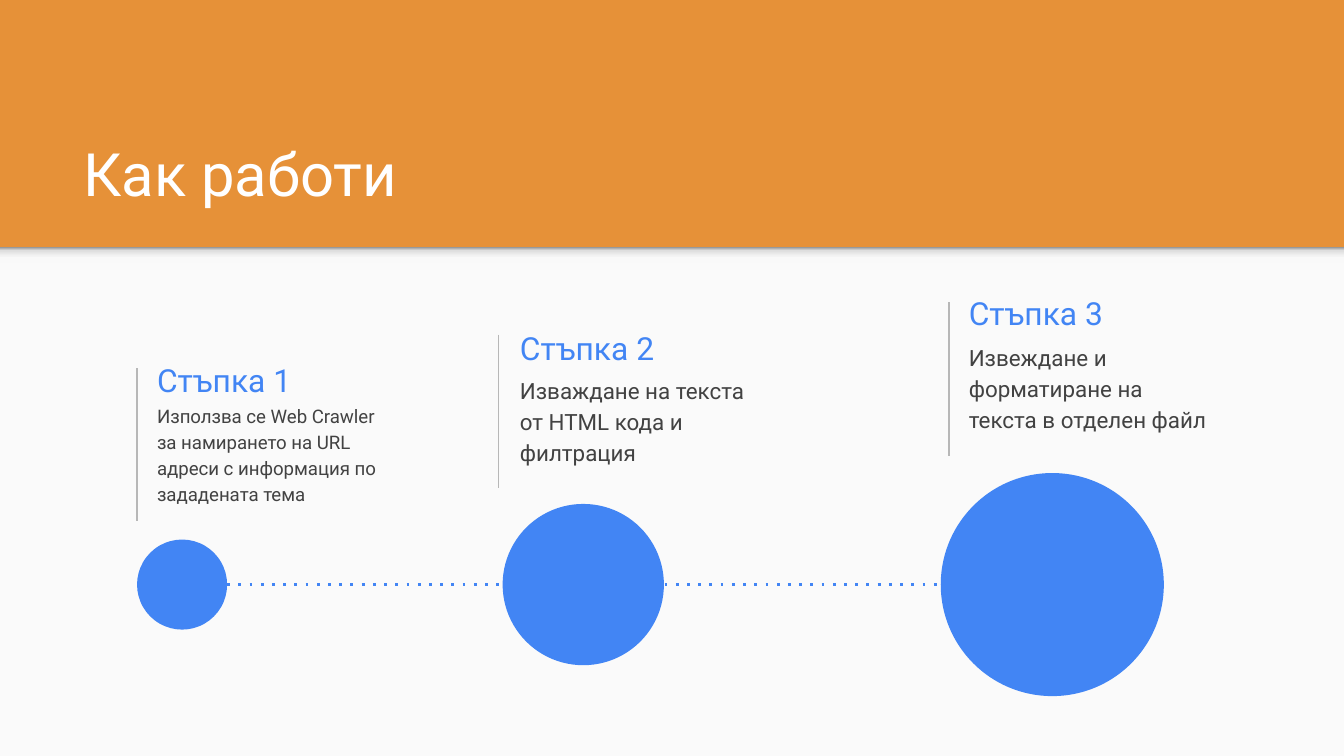
from dataclasses import dataclass

from lxml.etree import SubElement
from pptx import Presentation
from pptx.dml.color import RGBColor
from pptx.enum.shapes import MSO_CONNECTOR, MSO_SHAPE
from pptx.enum.text import MSO_ANCHOR, PP_ALIGN
from pptx.oxml import parse_xml
from pptx.oxml.ns import nsdecls, qn
from pptx.util import Inches, Pt

TITLE = "Как работи"
STEPS = [
    dict(heading="Стъпка 1",
         body="Използва се Web Crawler за намирането на URL адреси с информация по зададената тема",
         size=10, bar=(1.02, 2.74), text_left=1.07, heading_top=2.61, body_top=2.89,
         circle=(1.02, 0.67)),
    dict(heading="Стъпка 2", body="Изваждане на текста от HTML кода и филтрация",
         size=12, bar=(3.71, 2.49), text_left=3.77, heading_top=2.37, body_top=2.68,
         circle=(3.74, 1.2)),
    dict(heading="Стъпка 3", body="Извеждане и форматиране на текста в отделен файл",
         size=12, bar=(7.06, 2.25), text_left=7.11, heading_top=2.11, body_top=2.43,
         circle=(7, 1.66)),
]
SHADOW_STOPS = [(0, "F9F9F9"), (36, "F9F9F9"), (80, "DEDEDE"), (100, "999999")]


@dataclass(frozen=True)
class Theme:
    font: str = "Roboto"
    banner: str = "E69138"
    panel: str = "FAFAFA"
    title: str = "FFFFFF"
    accent: str = "4285F4"
    body: str = "424242"
    bar: str = "B7B7B7"
    title_size: int = 32
    heading_size: int = 17


THEME = Theme()
WIDTH = 10
HEIGHT = WIDTH * 9 / 16
BANNER_HEIGHT = 1.84
AXIS_Y, BAR_HEIGHT = 4.35, 1.14
TEXT_WIDTH, HEADING_HEIGHT, BODY_HEIGHT = 1.98, 0.43, 0.63


def inches(*values):
    return [Inches(value) for value in values]


def write_text(box, text, size, color, anchor=MSO_ANCHOR.TOP, line_spacing=1, space_after=0):
    frame = box.text_frame
    frame.word_wrap = True
    frame.vertical_anchor = anchor
    frame.margin_left = frame.margin_right = Inches(0.1)
    frame.margin_top = frame.margin_bottom = Inches(0.1)
    para = frame.paragraphs[0]
    para.alignment = PP_ALIGN.LEFT
    para.line_spacing = line_spacing
    para.space_before, para.space_after = Pt(0), Pt(space_after)
    span = para.add_run()
    span.text = text
    span.font.name, span.font.size = THEME.font, Pt(size)
    span.font.color.rgb = RGBColor.from_string(color)


def add_solid(page, kind, color, *area):
    shape = page.shapes.add_shape(kind, *inches(*area))
    shape.shadow.inherit = False
    shape.fill.solid()
    shape.fill.fore_color.rgb = RGBColor.from_string(color)
    shape.line.fill.background()
    return shape


def add_line(page, color, width, start, end, dash=None):
    line = page.shapes.add_connector(MSO_CONNECTOR.STRAIGHT, *inches(*start, *end))
    line.line.color.rgb = RGBColor.from_string(color)
    line.line.width = Pt(width)
    if dash:
        SubElement(line.line._get_or_add_ln(), qn("a:prstDash"), val=dash)
    SubElement(line._element.spPr, qn("a:effectLst"))


def add_banner_shadow(page):
    strip = add_solid(page, MSO_SHAPE.RECTANGLE, THEME.panel, 0, BANNER_HEIGHT, WIDTH, 0.12)
    stops = "".join(f'<a:gs pos="{position * 1000}"><a:srgbClr val="{color}"/></a:gs>'
                    for position, color in SHADOW_STOPS)
    gradient = parse_xml(f'<a:gradFill {nsdecls("a")}><a:gsLst>{stops}</a:gsLst>'
                         '<a:lin ang="16200000" scaled="0"/></a:gradFill>')
    properties = strip._element.spPr
    properties.replace(properties.find(qn("a:solidFill")), gradient)


def add_step(page, step):
    left, top = step["bar"]
    add_line(page, THEME.bar, 0.75, (left, top), (left, top + BAR_HEIGHT))
    heading = page.shapes.add_textbox(
        *inches(step["text_left"], step["heading_top"], TEXT_WIDTH, HEADING_HEIGHT))
    write_text(heading, step["heading"], THEME.heading_size, THEME.accent,
               anchor=MSO_ANCHOR.MIDDLE)
    body = page.shapes.add_textbox(
        *inches(step["text_left"], step["body_top"], TEXT_WIDTH, BODY_HEIGHT))
    write_text(body, step["body"], step["size"], THEME.body, line_spacing=1.15, space_after=16)


def add_timeline(page):
    first_left, first_size = STEPS[0]["circle"]
    last_left = STEPS[-1]["circle"][0]
    add_line(page, THEME.accent, 1.5, (first_left + first_size, AXIS_Y),
             (last_left, AXIS_Y), dash="dot")
    for step in STEPS:
        left, size = step["circle"]
        add_solid(page, MSO_SHAPE.OVAL, THEME.accent, left, AXIS_Y - size / 2, size, size)


def main():
    deck = Presentation()
    deck.slide_width, deck.slide_height = inches(WIDTH, HEIGHT)
    page = deck.slides.add_slide(deck.slide_layouts[5])
    page.background.fill.solid()
    page.background.fill.fore_color.rgb = RGBColor.from_string(THEME.banner)
    add_solid(page, MSO_SHAPE.RECTANGLE, THEME.panel,
              0, BANNER_HEIGHT, WIDTH, HEIGHT - BANNER_HEIGHT)
    add_banner_shadow(page)
    title = page.shapes.title
    title.left, title.top, title.width, title.height = inches(0.52, 0.81, 8.99, 0.84)
    write_text(title, TITLE, THEME.title_size, THEME.title, anchor=MSO_ANCHOR.BOTTOM)
    for step in STEPS:
        add_step(page, step)
    add_timeline(page)
    deck.save("out.pptx")


if __name__ == "__main__":
    main()
